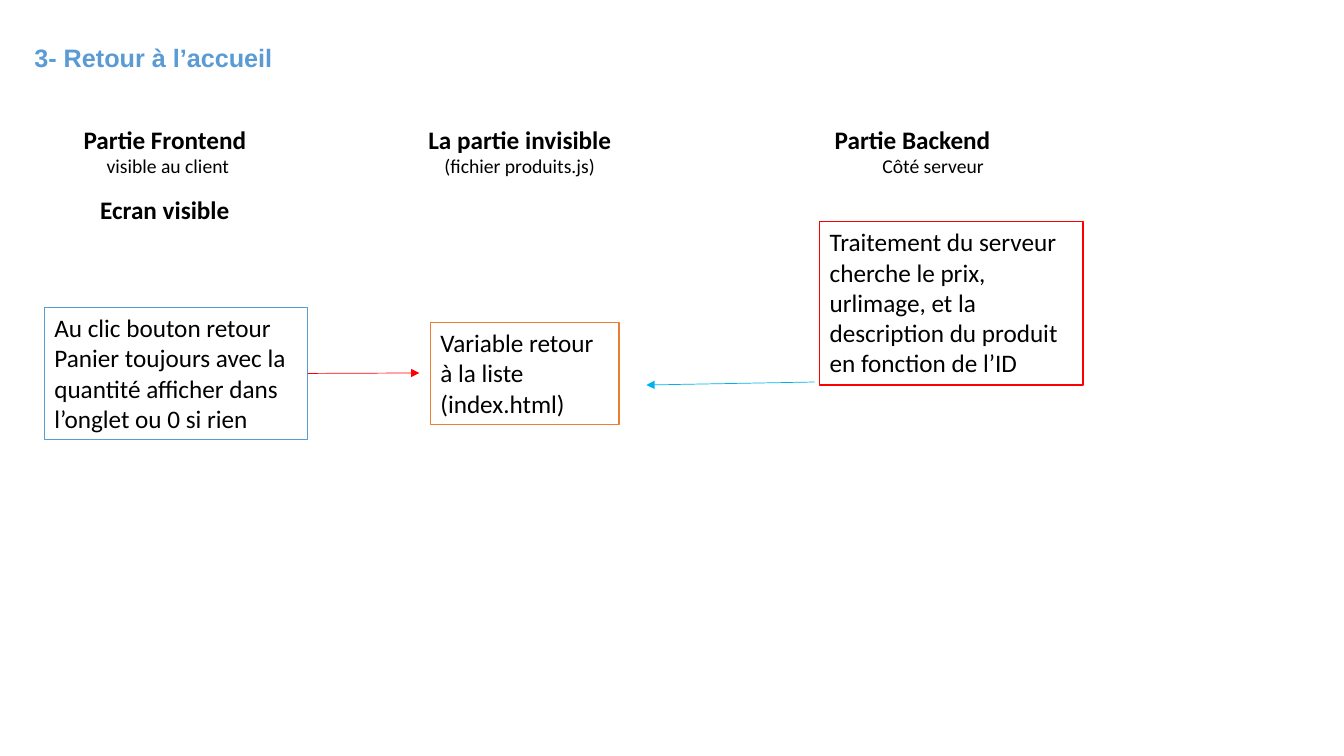
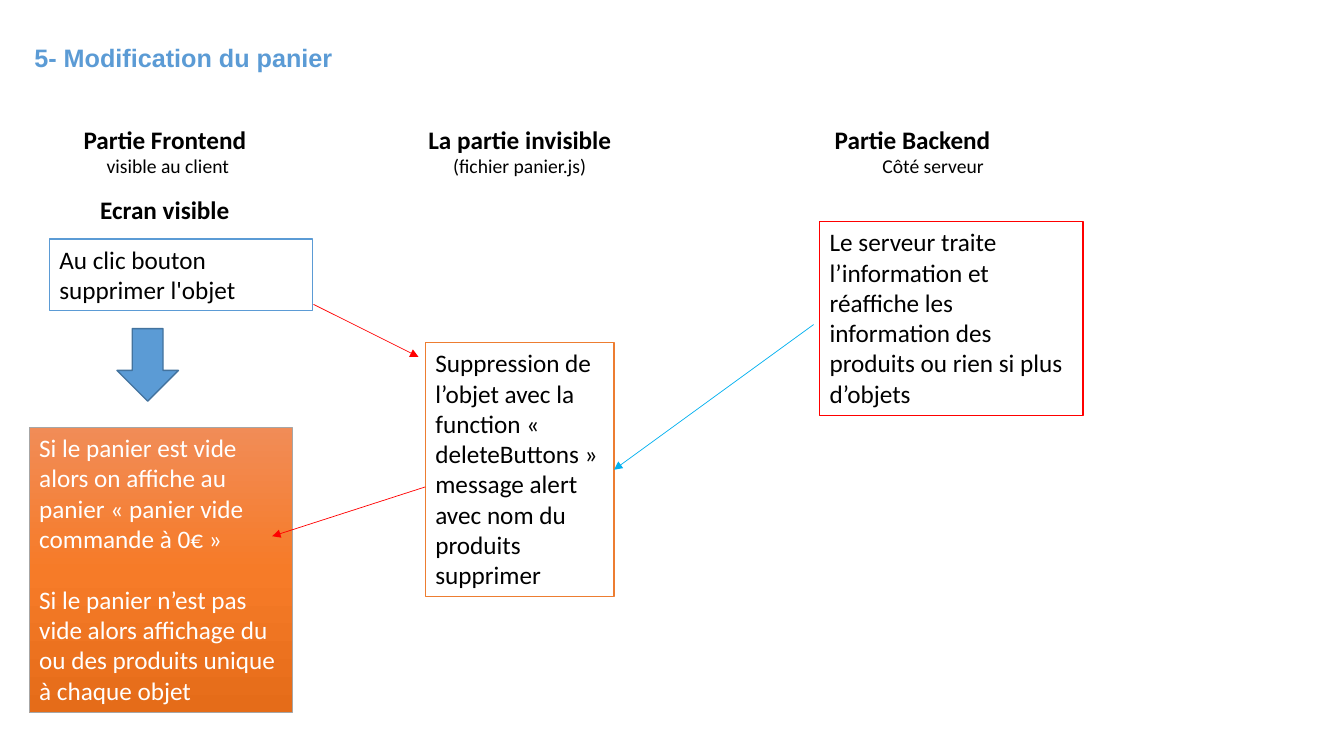
from copy import deepcopy
from dataclasses import dataclass

from lxml.etree import SubElement
from pptx import Presentation
from pptx.dml.color import RGBColor
from pptx.enum.shapes import MSO_CONNECTOR, MSO_SHAPE
from pptx.enum.text import MSO_ANCHOR, MSO_AUTO_SIZE, PP_ALIGN
from pptx.oxml.ns import qn
from pptx.util import Inches, Pt


@dataclass(frozen=True)
class Theme:
    title_font: str = "Arial"
    body_font: str = "Calibri"
    body_size: int = 18
    note_size: int = 14
    black: str = "000000"
    white: str = "FFFFFF"
    blue: str = "5B9BD5"
    dark_blue: str = "43739E"
    sky: str = "00B0F0"
    red: str = "FF0000"
    orange: str = "ED7D31"
    grey: str = "A6A6A6"
    panel_gradient: tuple = ((0, "F18C57"), (0.5, "F67B28"), (1, "E56C19"))
    outline: float = 1
    thin: float = 0.5


THEME = Theme()

# Shared column geometry
CARD_WIDTH = 2.61
SCRIPT_WIDTH = 1.87
SERVER_LEFT, SERVER_TOP = 8.13, 2.2


def rgb(value):
    return RGBColor.from_string(value)


def box(left, top, width, height):
    return [Inches(value) for value in (left, top, width, height)]


def add_run(paragraph, text, color=THEME.black, size=THEME.body_size,
            bold=False, font=THEME.body_font):
    run = paragraph.add_run()
    run.text = text
    run.font.name = font
    run.font.size = Pt(size)
    run.font.bold = bold
    run.font.color.rgb = rgb(color)


def set_line(line, color, width):
    line.color.rgb = rgb(color)
    line.width = Pt(width)


def add_title(slide, text):
    title = slide.shapes.title
    title.left, title.top, title.width, title.height = box(0.24, 0.37, 3.3, 0.4)
    frame = title.text_frame
    frame.auto_size = MSO_AUTO_SIZE.NONE
    frame.vertical_anchor = MSO_ANCHOR.TOP
    paragraph = frame.paragraphs[0]
    paragraph.alignment = PP_ALIGN.LEFT
    paragraph.line_spacing = 1.0
    add_run(paragraph, text, THEME.blue, bold=True, font=THEME.title_font)


def add_heading(slide, left, top, width, heading, note=None, indent=None):
    """Bold heading, centred unless indented, with an optional centred note."""
    height = 0.64 if note else 0.4
    frame = slide.shapes.add_textbox(*box(left, top, width, height)).text_frame
    frame.word_wrap = True
    paragraph = frame.paragraphs[0]
    if indent is None:
        paragraph.alignment = PP_ALIGN.CENTER
    else:
        paragraph.alignment = PP_ALIGN.LEFT
        paragraph._p.get_or_add_pPr().set("marL", str(Inches(indent)))
    add_run(paragraph, heading, bold=True)
    if note:
        paragraph = frame.add_paragraph()
        paragraph.alignment = PP_ALIGN.CENTER
        add_run(paragraph, note, size=THEME.note_size)


def add_card(slide, left, top, width, height, texts, outline,
             color=THEME.black, line_width=THEME.outline, gap=0):
    card = slide.shapes.add_shape(MSO_SHAPE.RECTANGLE, *box(left, top, width, height))
    card.shadow.inherit = False
    card.fill.solid()
    card.fill.fore_color.rgb = rgb(THEME.white)
    set_line(card.line, outline, line_width)
    frame = card.text_frame
    frame.word_wrap = True
    frame.vertical_anchor = MSO_ANCHOR.TOP
    for index, text in enumerate(texts):
        paragraph = frame.add_paragraph() if index else frame.paragraphs[0]
        paragraph.alignment = PP_ALIGN.LEFT
        paragraph.space_before = Pt(gap if index else 0)
        add_run(paragraph, text, color)
    return card


def fill_gradient(shape, stops):
    shape.fill.gradient()
    shape.fill.gradient_angle = 270
    stop_list = shape._element.spPr.find(qn("a:gradFill")).find(qn("a:gsLst"))
    while len(stop_list) < len(stops):
        stop_list.append(deepcopy(stop_list[-1]))
    for stop, (position, color) in zip(shape.fill.gradient_stops, stops):
        stop.position = position
        stop.color.rgb = rgb(color)


def add_arrow(slide, start, end, color):
    arrow = slide.shapes.add_connector(
        MSO_CONNECTOR.STRAIGHT, *[Inches(value) for value in (*start, *end)])
    set_line(arrow.line, color, THEME.thin)
    SubElement(arrow.line._get_or_add_ln(), qn("a:tailEnd"), type="triangle")
    SubElement(arrow._element.spPr, qn("a:effectLst"))
    return arrow


def add_down_arrow(slide, left, top, width, height):
    arrow = slide.shapes.add_shape(MSO_SHAPE.DOWN_ARROW, *box(left, top, width, height))
    arrow.shadow.inherit = False
    arrow.fill.solid()
    arrow.fill.fore_color.rgb = rgb(THEME.blue)
    set_line(arrow.line, THEME.dark_blue, THEME.outline)


def add_step_slide(deck, title, script_file):
    """Slide with the title and the three column headings."""
    slide = deck.slides.add_slide(deck.slide_layouts[5])
    add_title(slide, title)
    add_heading(slide, 0.54, 1.18, 2.25, "Partie Frontend", "visible au client", 0.19)
    add_heading(slide, 4.1, 1.18, 2.11, "La partie invisible",
                f"(fichier {script_file})", 0.05)
    add_heading(slide, SERVER_LEFT, 1.18, 2.25, "Partie Backend", "Côté serveur", 0.05)
    add_heading(slide, 0.58, 1.88, 2.11, "Ecran visible")
    return slide


def add_server_card(slide, height, text):
    add_card(slide, SERVER_LEFT, SERVER_TOP, CARD_WIDTH, height, [text], THEME.red)


def build_return_home(deck):
    slide = add_step_slide(deck, "3- Retour à l’accueil", "produits.js")
    click = add_card(
        slide, 0.44, 3.05, CARD_WIDTH, 1.31,
        ["Au clic bouton retour",
         "Panier toujours avec la quantité afficher dans l’onglet ou 0 si rien"],
        THEME.blue)
    add_server_card(slide, 1.62, "Traitement du serveur cherche le prix, urlimage, "
                    "et la description du produit en fonction de l’ID")
    add_card(slide, 4.27, 3.2, SCRIPT_WIDTH, 1.01,
             ["Variable retour à la liste (index.html)"], THEME.orange)
    to_script = add_arrow(slide, (3.05, 3.7), (4.16, 3.7), THEME.red)
    to_script.begin_connect(click, 3)
    add_arrow(slide, (8.08, 3.79), (6.41, 3.82), THEME.sky)


def build_cart_change(deck):
    slide = add_step_slide(deck, "5- Modification du panier", "panier.js")
    add_card(slide, 0.49, 2.37, CARD_WIDTH, 0.71,
             ["Au clic bouton supprimer l'objet"], THEME.blue)
    # Resulting cart display
    cart = add_card(
        slide, 0.29, 4.24, CARD_WIDTH, 2.83,
        ["Si le panier est vide alors on affiche au panier « panier vide commande à 0€ »",
         "Si le panier n’est pas vide alors affichage du ou des produits unique "
         "à chaque objet"],
        THEME.grey, THEME.white, THEME.thin, gap=22)
    fill_gradient(cart, THEME.panel_gradient)
    add_server_card(slide, 1.92, "Le serveur traite l’information et réaffiche les "
                    "information des produits ou rien si plus d’objets")
    deletion = add_card(
        slide, 4.22, 3.4, SCRIPT_WIDTH, 2.52,
        ["Suppression de l’objet avec la function « deleteButtons » message alert "
         "avec nom du produits supprimer"], THEME.orange)
    # Flow between the columns
    add_arrow(slide, (3.11, 3.02), (4.15, 3.54), THEME.red)
    add_arrow(slide, (4.22, 4.83), (2.7, 5.32), THEME.red)
    from_server = add_arrow(slide, (8.07, 3.22), (6.09, 4.66), THEME.sky)
    from_server.end_connect(deletion, 3)
    add_down_arrow(slide, 1.16, 3.26, 0.61, 0.72)


def main():
    deck = Presentation()
    deck.slide_width, deck.slide_height = Inches(13.33), Inches(7.5)
    build_return_home(deck)
    build_cart_change(deck)
    deck.save("out.pptx")


if __name__ == "__main__":
    main()
